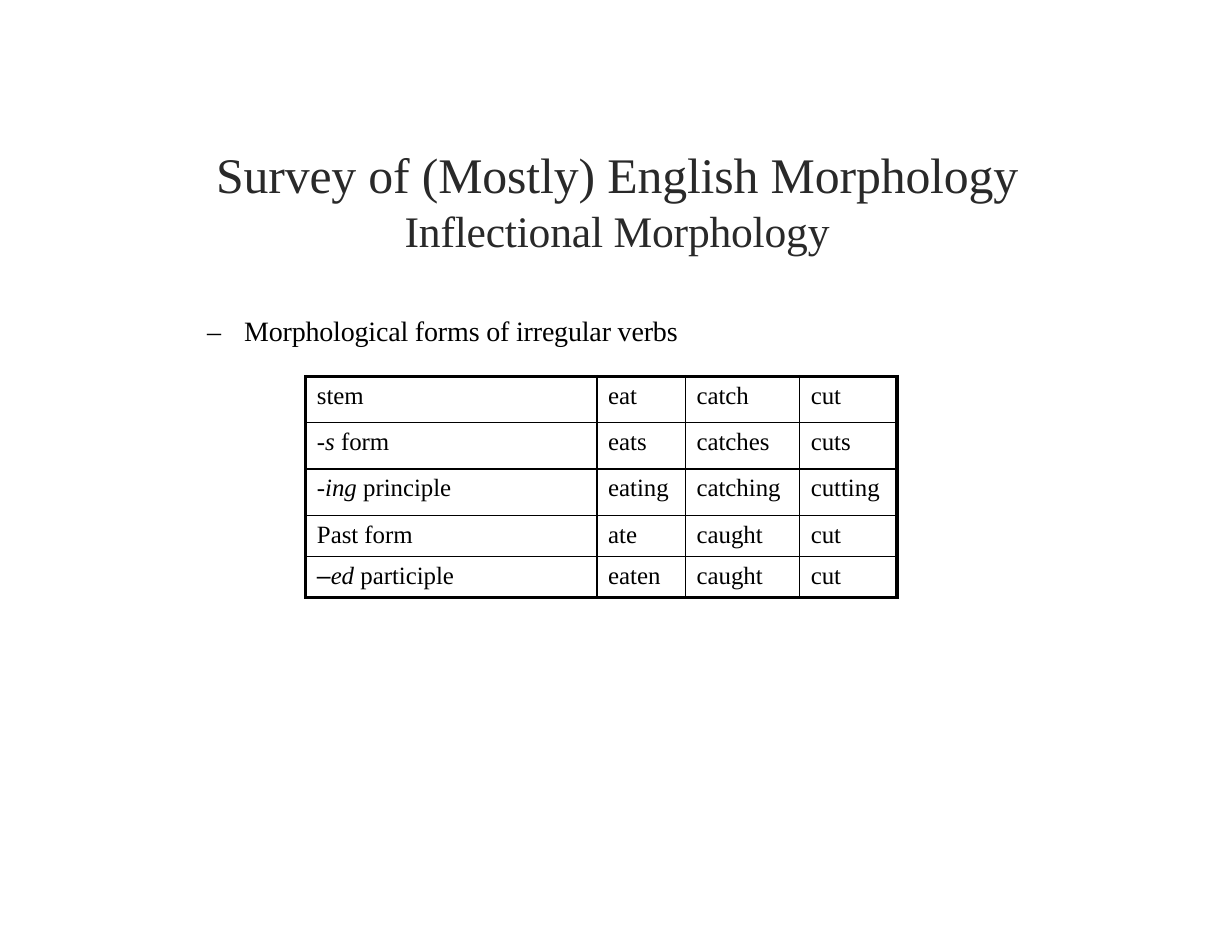
from lxml.etree import SubElement
from pptx import Presentation
from pptx.dml.color import RGBColor
from pptx.enum.text import PP_ALIGN
from pptx.oxml.ns import qn
from pptx.util import Inches, Pt

COLS, ROWS = 110, 85
UNIT = Inches(11) // COLS
INK, GREY = "000000", "292929"
SERIF = "Times New Roman"
HEAVY, THIN = 2.25, 1


def grid(*steps):
    return [round(step * UNIT) for step in steps]


def paint(font, color):
    font.color.rgb = RGBColor.from_string(color)


def style(item, form):
    for name, value in form.items():
        setattr(item, name, value)


def write(para, runs, size, color, track=0):
    for text, form in runs:
        run = para.add_run()
        run.text = text
        style(run.font, {"name": SERIF, "size": Pt(size), **form})
        paint(run.font, color)
        if track:
            run.font._element.set("spc", str(track))


def frame(slide, box):
    body = slide.shapes.add_textbox(*grid(*box)).text_frame
    left, top = grid(0.1, 0.1)
    style(body, {"word_wrap": True, "margin_left": left, "margin_top": top,
                 "margin_right": 0, "margin_bottom": 0})
    return body


def add_title(slide, box, lines):
    body = frame(slide, box)
    for at, (text, size, lead) in enumerate(lines):
        para = body.add_paragraph() if at else body.paragraphs[0]
        style(para, {"alignment": PP_ALIGN.CENTER, "line_spacing": Pt(lead)})
        write(para, [(text, {})], size, GREY, -10)


def add_point(slide, box, text, stop):
    para = frame(slide, box).paragraphs[0]
    tabs = SubElement(para._p.get_or_add_pPr(), qn("a:tabLst"))
    SubElement(tabs, qn("a:tab"), pos=str(grid(stop)[0]), algn="l")
    write(para, [("–\t" + text, {})], 18, INK, -10)


def edge(cell, side, width):
    line = SubElement(cell._tc.get_or_add_tcPr(), qn("a:ln" + side),
                      w=str(Pt(width)))
    fill = SubElement(line, qn("a:solidFill"))
    SubElement(fill, qn("a:srgbClr"), val=INK)


def add_forms(slide, box, wide, tall, data):
    table = slide.shapes.add_table(len(tall), len(wide), *grid(*box)).table
    style(table, {"first_row": False, "horz_banding": False})
    for col, width in zip(table.columns, grid(*wide)):
        col.width = width
    for row, height in zip(table.rows, grid(*tall)):
        row.height = height
    left, top = grid(1, 0.5)
    for y, (label, *words) in enumerate(data):
        for x, runs in enumerate([label] + [[(word, {})] for word in words]):
            cell = table.cell(y, x)
            style(cell, {"margin_left": left, "margin_top": top,
                         "margin_right": 0, "margin_bottom": 0})
            outer = {"L": x == 0, "R": x == len(wide) - 1,
                     "T": y == 0, "B": y == len(tall) - 1}
            for side, rim in outer.items():
                edge(cell, side, HEAVY if rim else THIN)
            cell.fill.background()
            write(cell.text_frame.paragraphs[0], runs, 16, INK)


def main():
    deck = Presentation()
    style(deck, {"slide_width": UNIT * COLS, "slide_height": UNIT * ROWS})
    slide = deck.slides.add_slide(deck.slide_layouts[6])
    add_title(slide, (18.8, 12.8, 72.5, 10.2), [
        ("Survey of (Mostly) English Morphology", 32, 38.2),
        ("Inflectional Morphology", 28, 33.4),
    ])
    add_point(slide, (18.4, 27.9, 42.7, 3.3),
              "Morphological forms of irregular verbs", 3.3)
    slant = {"italic": True}
    add_forms(slide, (27.3, 33.6, 52.8, 19.7), (26, 7.9, 10.2, 8.7),
              [4.14] * 3 + [3.66] * 2, [
        ([("stem", {})], "eat", "catch", "cut"),
        ([("-", {}), ("s ", slant), ("form", {})],
         "eats", "catches", "cuts"),
        ([("-", {}), ("ing ", slant), ("principle", {})],
         "eating", "catching", "cutting"),
        ([("Past form", {})], "ate", "caught", "cut"),
        ([("–", {"name": "Arial"}), ("ed ", slant), ("participle", {})],
         "eaten", "caught", "cut"),
    ])
    deck.save("out.pptx")


if __name__ == "__main__":
    main()
